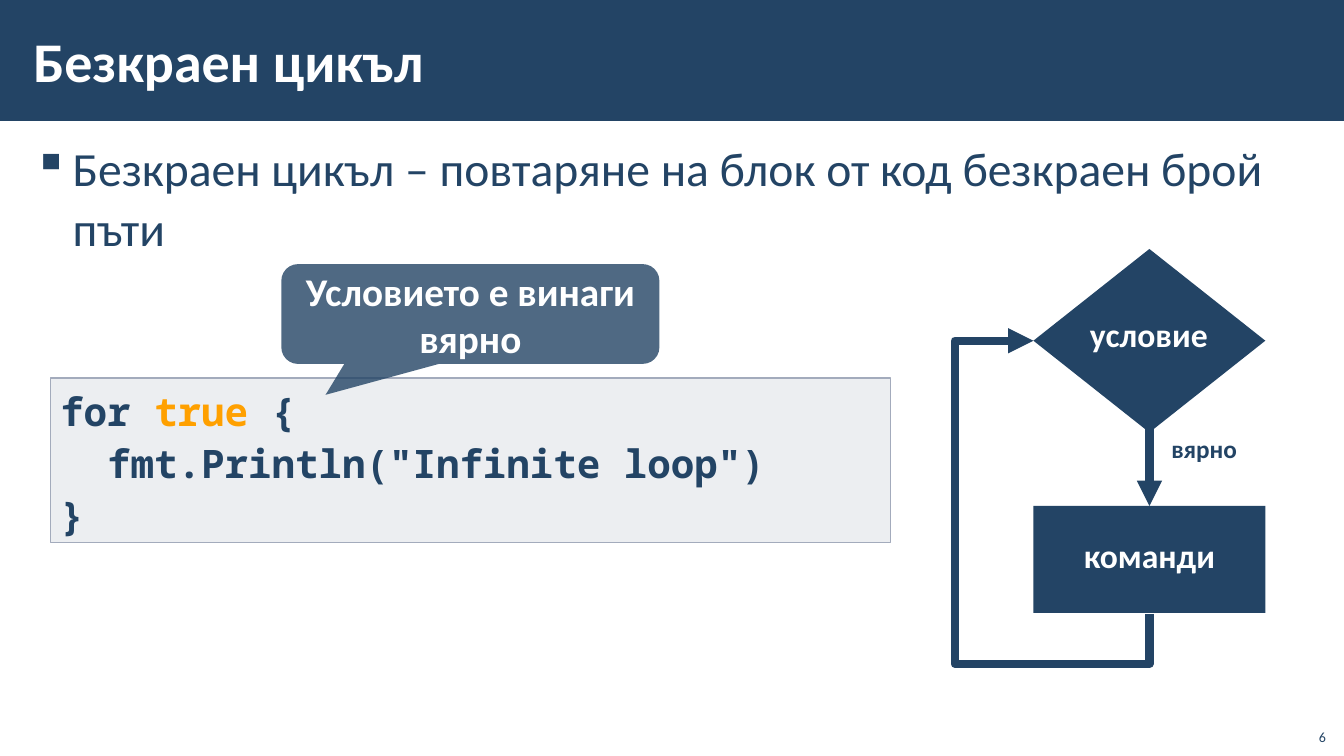
from lxml import etree
from pptx import Presentation
from pptx.dml.color import RGBColor
from pptx.enum import shapes, text
from pptx.oxml.ns import qn
from pptx.util import Inches, Pt

NAVY, WHITE, ORANGE, GREY = "234465", "FFFFFF", "FFA000", "A3ABBC"
SANS, MONO = "Calibri", "Noto Sans Mono"
SHAPE, ALIGN, ANCHOR = shapes.MSO_SHAPE, text.PP_ALIGN, text.MSO_ANCHOR


def rgb(value):
    return RGBColor.from_string(value)


def child(parent, tag, **attrs):
    return etree.SubElement(parent, qn(tag), attrs)


def write(sp, lines, size, color=NAVY, bold=True, font=SANS, align=ALIGN.LEFT,
          anchor=ANCHOR.TOP, spacing=None, margins=(0.1, 0.05)):
    """Fill a shape; each line is a string or a list of (text, color) runs."""
    tf = sp.text_frame
    tf.word_wrap = True
    tf.auto_size = text.MSO_AUTO_SIZE.NONE
    tf.vertical_anchor = anchor
    tf.margin_left = tf.margin_right = Inches(margins[0])
    tf.margin_top = tf.margin_bottom = Inches(margins[1])
    for i, line in enumerate(lines):
        p = tf.paragraphs[0] if i == 0 else tf.add_paragraph()
        p.alignment = align
        if spacing:
            p.line_spacing = spacing
        for content, run_color in [(line, color)] if isinstance(line, str) else line:
            r = p.add_run()
            r.text = content
            r.font.name, r.font.size, r.font.bold = font, Pt(size), bold
            r.font.color.rgb = rgb(run_color)


def add_box(slide, kind, at, fill=NAVY, opacity=None, line=None):
    sp = slide.shapes.add_shape(kind, *map(Inches, at))
    sp.shadow.inherit = False
    sp.fill.solid()
    sp.fill.fore_color.rgb = rgb(fill)
    if opacity:
        clr = sp._element.spPr.find(qn("a:solidFill")).find(qn("a:srgbClr"))
        child(clr, "a:alpha", val=str(opacity * 1000))
    if line:
        sp.line.color.rgb = rgb(line)
        sp.line.width = Pt(1)
    else:
        sp.line.fill.background()
    return sp


def add_label(slide, at, content, size, **fmt):
    sp = slide.shapes.add_textbox(*map(Inches, at))
    write(sp, [content], size, **fmt)
    return sp


def add_arrow(slide, kind, start, end):
    cxn = slide.shapes.add_connector(kind, *map(Inches, start + end))
    cxn.line.color.rgb = rgb(NAVY)
    cxn.line.width = Pt(6)
    spPr = cxn._element.spPr
    child(spPr.find(qn("a:ln")), "a:tailEnd", type="triangle")
    child(spPr, "a:effectLst")
    return cxn


def route_loop_back(cxn):
    """Lead the elbow down, left around the block, then up to the condition."""
    cxn.left, cxn.top = Inches(9.47), Inches(4.16)
    cxn.width, cxn.height = Inches(2.71), Inches(1.15)
    xfrm = cxn._element.spPr.find(qn("a:xfrm"))
    xfrm.attrib.pop("flipV", None)
    xfrm.set("rot", "5400000")
    xfrm.set("flipH", "1")
    geom = cxn._element.spPr.find(qn("a:prstGeom"))
    geom.set("prst", "bentConnector4")
    guides = geom.find(qn("a:avLst"))
    for name, value in (("adj1", -18300), ("adj2", 167800)):
        child(guides, "a:gd", name=name, fmla=f"val {value}")


def add_bullet(p, indent):
    pPr = p._p.get_or_add_pPr()
    pPr.set("marL", str(Inches(indent)))
    pPr.set("indent", str(Inches(-indent)))
    p.space_before, p.space_after = Pt(0), Pt(6)
    child(pPr, "a:buChar", char="▪")


def make_slide_number(sp):
    """Turn the only run of a box into a slide number field."""
    r = sp.text_frame.paragraphs[0].runs[0]._r
    fld = etree.Element(qn("a:fld"), type="slidenum",
                        id="{B6F15528-21DE-4FAA-801E-634DDDAF4B2B}")
    r.addprevious(fld)
    fld.extend(list(r))
    r.getparent().remove(r)


def add_header(slide):
    banner = add_box(slide, SHAPE.RECTANGLE, (0, 0, 13.34, 1.2))
    slide.shapes._spTree.insert(2, banner._element)
    title = slide.shapes.title
    title.left, title.top = Inches(0.21), Inches(0.11)
    title.width, title.height = Inches(10.63), Inches(0.97)
    write(title, ["Безкраен цикъл"], 40, color=WHITE, anchor=ANCHOR.MIDDLE,
          margins=(0.12, 0.04))


def add_code(slide):
    code = add_box(slide, SHAPE.RECTANGLE, (0.5, 3.75, 8.33, 1.63), GREY, 20, GREY)
    write(code, [[("for ", NAVY), ("true ", ORANGE), ("{", NAVY)],
                 '  fmt.Println("Infinite loop")', "}"],
          28, font=MONO, spacing=1.1)
    callout = add_box(slide, SHAPE.ROUNDED_RECTANGULAR_CALLOUT,
                      (2.79, 2.62, 3.75, 0.99), opacity=80)
    for i, value in enumerate((-0.383, 0.81, 0.167)):
        callout.adjustments[i] = value
    write(callout, ["Условието е винаги вярно"], 28, color=WHITE,
          align=ALIGN.CENTER, anchor=ANCHOR.MIDDLE)


def add_flowchart(slide):
    node = dict(size=24, color=WHITE, align=ALIGN.CENTER)
    add_box(slide, SHAPE.FLOWCHART_DECISION, (10.25, 2.47, 2.3, 1.82))
    add_label(slide, (10.53, 3.07, 1.73, 0.5), "условие", **node)
    commands = add_box(slide, SHAPE.RECTANGLE, (10.25, 5.02, 2.3, 1.06))
    add_label(slide, (10.45, 5.26, 1.9, 0.5), "команди", **node)
    down = add_arrow(slide, shapes.MSO_CONNECTOR.STRAIGHT, (11.4, 3.98), (11.4, 5.02))
    down.end_connect(commands, 0)
    route_loop_back(add_arrow(slide, shapes.MSO_CONNECTOR.ELBOW,
                              (11.4, 6.08), (10.25, 3.38)))
    add_label(slide, (11.52, 4.25, 1.31, 0.4), "вярно", 18)


def main():
    prs = Presentation()
    prs.slide_width, prs.slide_height = Inches(13.33), Inches(7.5)
    prs.element.set("firstSlideNum", "6")
    slide = prs.slides.add_slide(prs.slide_layouts[5])
    add_header(slide)
    body = add_label(slide, (0.21, 1.31, 12.92, 6.05),
                     "Безкраен цикъл – повтаряне на блок от код безкраен брой пъти",
                     34, bold=False, spacing=1.05, margins=(0.12, 0.04))
    add_bullet(body.text_frame.paragraphs[0], 0.39)
    number = add_label(slide, (12.85, 7.12, 0.4, 0.32), "6", 10, bold=False,
                       align=ALIGN.RIGHT, anchor=ANCHOR.BOTTOM)
    make_slide_number(number)
    add_code(slide)
    add_flowchart(slide)
    prs.save("out.pptx")


if __name__ == "__main__":
    main()
